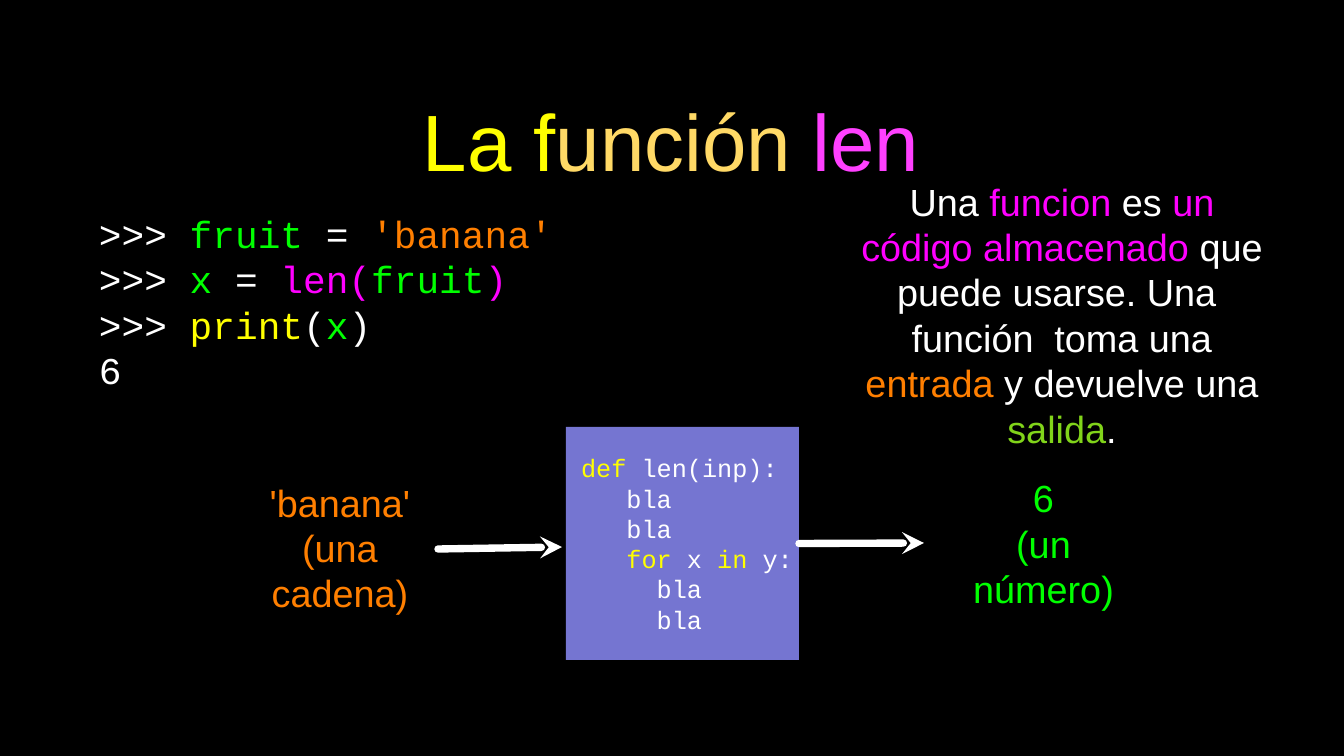
from lxml import etree
from pptx import Presentation
from pptx.dml.color import RGBColor
from pptx.enum.shapes import MSO_CONNECTOR, MSO_SHAPE
from pptx.enum.text import MSO_ANCHOR, PP_ALIGN
from pptx.oxml.ns import qn
from pptx.util import Pt

LEFT, CENTER = PP_ALIGN.LEFT, PP_ALIGN.CENTER
MIDDLE = MSO_ANCHOR.MIDDLE
RECT, STRAIGHT = MSO_SHAPE.RECTANGLE, MSO_CONNECTOR.STRAIGHT
RIGHT_SIDE = 3
SLIDE_W, SLIDE_H = 1344, 756
TITLE_ONLY = 5

THEME = {
    "black": "000000", "white": "FFFFFF", "yellow": "FFFF00", "gold": "FFD966",
    "pink": "FF40FF", "magenta": "FF00FF", "green": "00FF00", "lime": "81D41A",
    "orange": "FF7F00", "violet": "7575D1",
    "sans": "Arial", "mono": "Courier New",
    "title": 76, "body": 36, "small": 24, "leading": 1.2, "arrow": 7,
}

# Each text is a list of paragraphs; each paragraph is a list of (text, colour).
TITLE = [[("La f", "yellow"), ("unción ", "gold"), ("len", "pink")]]
FUNCTION_BODY = [
    [(" def", "yellow"), (" len(inp):", "white")],
    [("    bla", "white")],
    [("    bla", "white")],
    [("    for", "yellow"), (" x ", "white"), ("in", "yellow"), (" y:", "white")],
    [("      bla", "white")],
    [("      bla", "white")],
]
SESSION = [
    [(">>> ", "white"), ("fruit ", "green"), ("=", "white"), (" 'banana'", "orange")],
    [(">>> ", "white"), ("x ", "green"), ("= ", "white"), ("len(", "magenta"),
     ("fruit", "green"), (")", "magenta")],
    [(">>> ", "white"), ("print", "yellow"), ("(", "white"), ("x", "green"), (")", "white")],
    [("6", "white")],
]
DEFINITION = [[
    ("Una ", "white"), ("funcion", "magenta"), (" es ", "white"),
    ("un código almacenado", "magenta"),
    (" que puede usarse. Una  función  toma una ", "white"),
    ("entrada", "orange"), (" y devuelve una ", "white"), ("salida", "lime"), (".", "white"),
]]
INPUT = [[("'banana' ", "orange")], [("(una cadena)", "orange")]]
OUTPUT = [[("6", "green")], [("(un número)", "green")]]

TITLE_BOX = (95, 69, 1152, 141)
FUNCTION_BOX = (566, 427, 233, 233)
TEXT_BOXES = [  # box, text, font, alignment
    ((265, 502, 150, 91), INPUT, "sans", CENTER),
    ((946, 496, 195, 94), OUTPUT, "sans", CENTER),
    ((850, 224, 424, 181), DEFINITION, "sans", CENTER),
    ((99, 210, 466, 183), SESSION, "mono", LEFT),
]
INPUT_ARROW = (438, 549, 562, 547)
OUTPUT_ARROW = (799, 544, 924, 543)


def px(*lengths):
    return [round(n * 914400 / 75.6) for n in lengths]


def color(name):
    return RGBColor.from_string(THEME[name])


def write(shape, paragraphs, font, size, align, inset=0):
    tf = shape.text_frame
    margin = px(inset)[0]
    frame = {"word_wrap": True, "vertical_anchor": MIDDLE, "margin_left": margin,
             "margin_right": margin, "margin_top": margin, "margin_bottom": margin}
    for name, value in frame.items():
        setattr(tf, name, value)
    for i, runs in enumerate(paragraphs):
        p = tf.add_paragraph() if i else tf.paragraphs[0]
        p.alignment = align
        p.line_spacing = Pt(THEME[size] * THEME["leading"])
        for text, tint in runs:
            r = p.add_run()
            r.text = text
            for name, value in {"name": THEME[font], "size": Pt(THEME[size]),
                                "bold": False}.items():
                setattr(r.font, name, value)
            r.font.color.rgb = color(tint)


def add_arrow(s, ends):
    arrow = s.shapes.add_connector(STRAIGHT, *px(*ends))
    arrow.line.color.rgb = color("white")
    arrow.line.width = Pt(THEME["arrow"])
    ln = arrow.line._get_or_add_ln()
    ln.set("cap", "rnd")
    etree.SubElement(ln, qn("a:tailEnd"), type="stealth")
    etree.SubElement(arrow._element.spPr, qn("a:effectLst"))
    return arrow


def main():
    prs = Presentation()
    prs.slide_width, prs.slide_height = px(SLIDE_W, SLIDE_H)
    s = prs.slides.add_slide(prs.slide_layouts[TITLE_ONLY])
    s.background.fill.solid()
    s.background.fill.fore_color.rgb = color("black")

    title = s.shapes.title
    title.left, title.top, title.width, title.height = px(*TITLE_BOX)
    write(title, TITLE, "sans", "title", CENTER, inset=3)

    function = s.shapes.add_shape(RECT, *px(*FUNCTION_BOX))
    function.shadow.inherit = False
    function.fill.solid()
    function.fill.fore_color.rgb = color("violet")
    function.line.fill.background()
    write(function, FUNCTION_BODY, "mono", "small", LEFT)

    add_arrow(s, INPUT_ARROW)
    add_arrow(s, OUTPUT_ARROW).begin_connect(function, RIGHT_SIDE)

    for box, text, font, align in TEXT_BOXES:
        write(s.shapes.add_textbox(*px(*box)), text, font, "body", align)

    prs.save("out.pptx")


if __name__ == "__main__":
    main()
